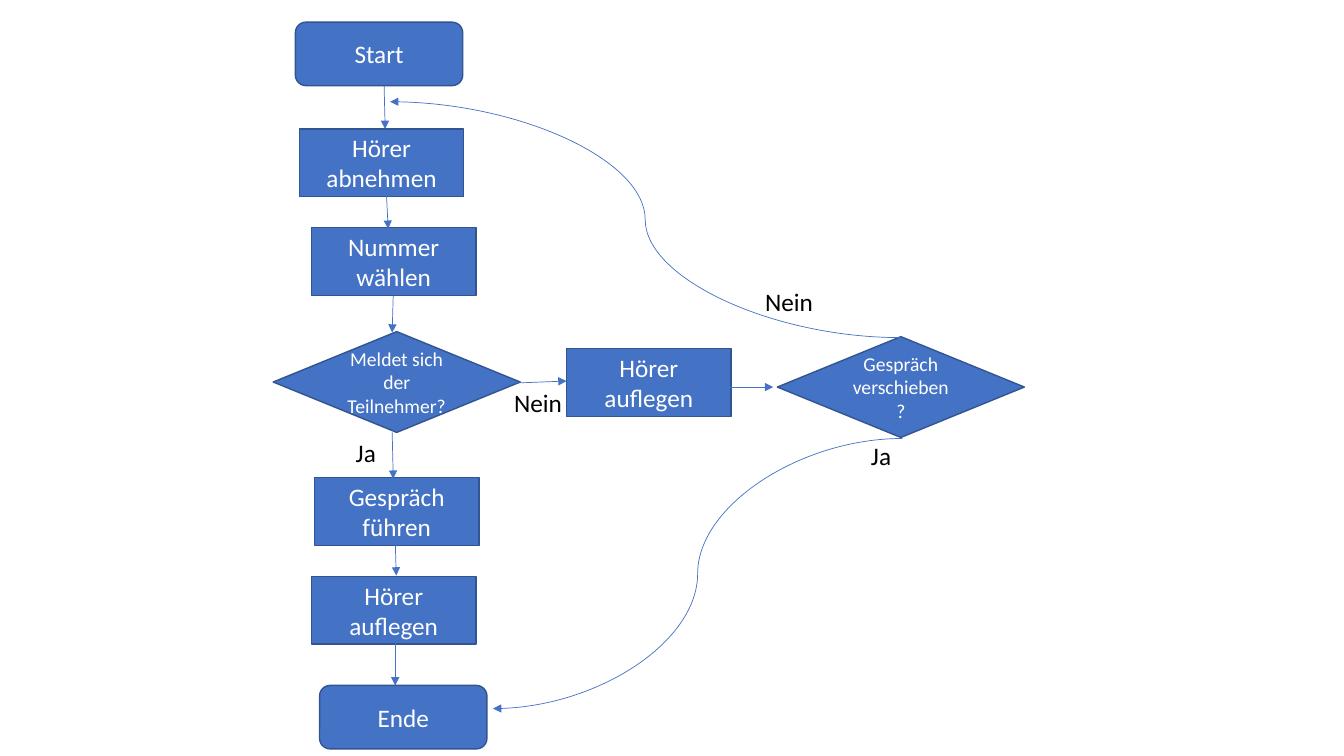
import pptx
import pptx.util
import pptx.dml.color
import pptx.enum.shapes
import pptx.enum.text
import pptx.oxml
import pptx.oxml.ns

Inches = pptx.util.Inches
Pt = pptx.util.Pt
SHAPE = pptx.enum.shapes.MSO_SHAPE
LINK = pptx.enum.shapes.MSO_CONNECTOR
TEXT = pptx.enum.text

BLUE, NAVY, WHITE, BLACK = "4472C4", "325491", "FFFFFF", "000000"

# Kind of node: preset shape, width, height, text size
ENDS = (SHAPE.ROUNDED_RECTANGLE, 1.66, 0.63, 18)
STEP = (SHAPE.FLOWCHART_PROCESS, 1.63, 0.67, 18)
TEST = (SHAPE.FLOWCHART_DECISION, 2.45, 1, 14)

NODES = [
    (ENDS, 2.93, 0.22, "Start"),
    (STEP, 2.97, 1.28, "Hörer abnehmen"),
    (STEP, 3.09, 2.26, "Nummer wählen"),
    (TEST, 2.71, 3.29, "Meldet sich der Teilnehmer?"),
    (STEP, 5.62, 3.46, "Hörer auflegen"),
    (TEST, 7.71, 3.34, "Gespräch verschieben?"),
    (STEP, 3.12, 4.74, "Gespräch führen"),
    (STEP, 3.09, 5.72, "Hörer auflegen"),
    (ENDS, 3.17, 6.8, "Ende"),
]
ARROWS = [
    (LINK.STRAIGHT, 3.81, 0.85, 3.82, 1.28),
    (LINK.STRAIGHT, 3.83, 1.87, 3.85, 2.27),
    (LINK.STRAIGHT, 3.9, 2.93, 3.89, 3.3),
    (LINK.STRAIGHT, 3.89, 4.29, 3.9, 4.75),
    (LINK.STRAIGHT, 3.92, 5.35, 3.93, 5.71),
    (LINK.STRAIGHT, 3.92, 6.35, 3.92, 6.8),
    (LINK.STRAIGHT, 5.11, 3.8, 5.62, 3.78),
    (LINK.STRAIGHT, 7.18, 3.84, 7.67, 3.84),
    (LINK.CURVE, 8.93, 3.35, 3.87, 1.01),
    (LINK.CURVE, 8.95, 4.35, 4.89, 7.03),
]
LABELS = [
    (3.43, 4.29, 0.41, "Ja"),
    (5, 3.79, 0.72, "Nein"),
    (7.49, 2.79, 0.72, "Nein"),
    (8.54, 4.32, 0.49, "Ja"),
]


def color(code):
    return pptx.dml.color.RGBColor.from_string(code)


def write(frame, text, size, tint, align):
    frame.word_wrap = True
    para = frame.paragraphs[0]
    para.alignment = align
    run = para.add_run()
    run.text = text
    run.font.name = "Calibri"
    run.font.size = Pt(size)
    run.font.color.rgb = color(tint)


def add_node(slide, kind, left, top, text):
    form, width, height, size = kind
    node = slide.shapes.add_shape(
        form, Inches(left), Inches(top), Inches(width), Inches(height))
    node.shadow.inherit = False
    node.fill.solid()
    node.fill.fore_color.rgb = color(BLUE)
    node.line.color.rgb = color(NAVY)
    node.line.width = Pt(1)
    node.text_frame.vertical_anchor = TEXT.MSO_ANCHOR.MIDDLE
    write(node.text_frame, text, size, WHITE, TEXT.PP_ALIGN.CENTER)


def add_arrow(slide, kind, *ends):
    """Draw a link with a triangle at its second end."""
    link = slide.shapes.add_connector(kind, *map(Inches, ends))
    link.line.color.rgb = color(BLUE)
    link.line.width = Pt(0.5)
    props = link._element.spPr
    tip = pptx.oxml.parse_xml(
        "<a:tailEnd %s type='triangle'/>" % pptx.oxml.ns.nsdecls("a"))
    props.find(pptx.oxml.ns.qn("a:ln")).append(tip)
    props.append(pptx.oxml.parse_xml(
        "<a:effectLst %s/>" % pptx.oxml.ns.nsdecls("a")))


def add_label(slide, left, top, width, text):
    box = slide.shapes.add_textbox(
        Inches(left), Inches(top), Inches(width), Inches(0.4))
    box.text_frame.auto_size = TEXT.MSO_AUTO_SIZE.SHAPE_TO_FIT_TEXT
    write(box.text_frame, text, 18, BLACK, TEXT.PP_ALIGN.LEFT)


def main():
    deck = pptx.Presentation()
    deck.slide_width = Inches(13.33)
    deck.slide_height = Inches(7.5)
    slide = deck.slides.add_slide(deck.slide_layouts[6])
    for node in NODES:
        add_node(slide, *node)
    for arrow in ARROWS:
        add_arrow(slide, *arrow)
    for label in LABELS:
        add_label(slide, *label)
    deck.save("out.pptx")


if __name__ == "__main__":
    main()
